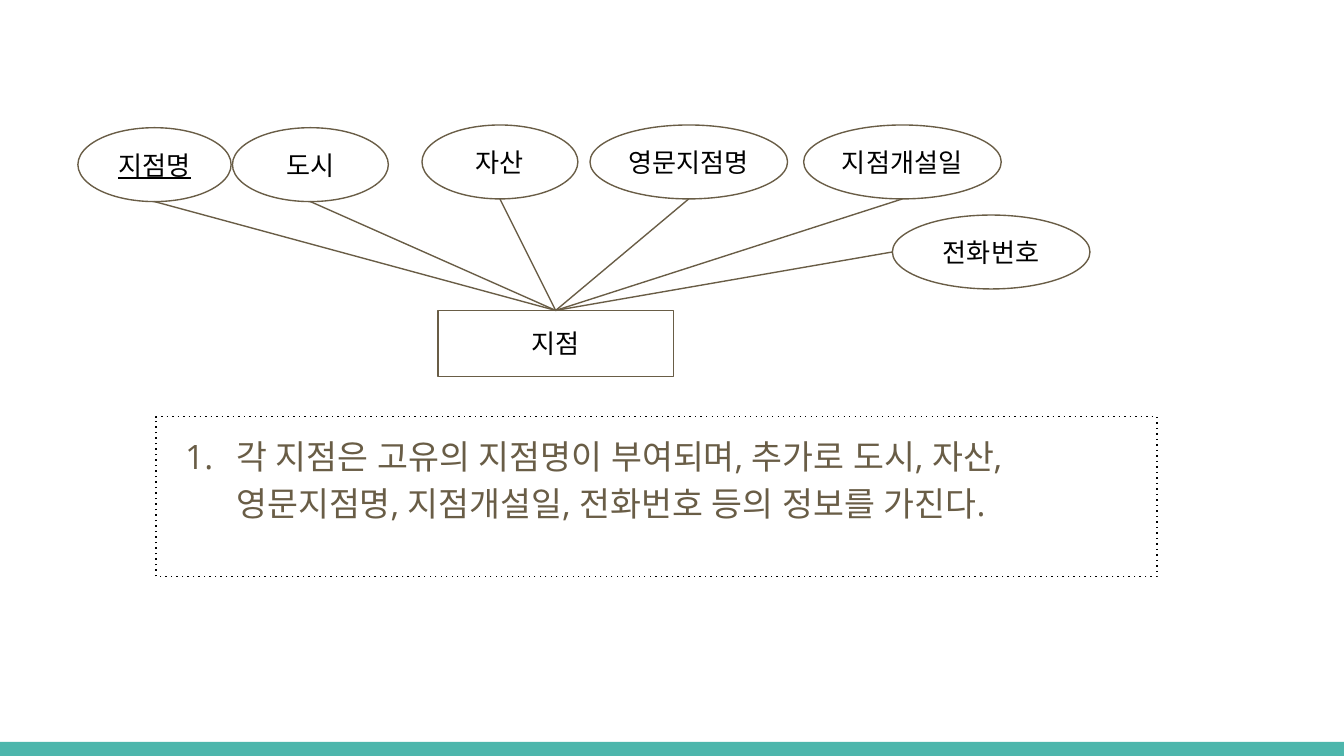
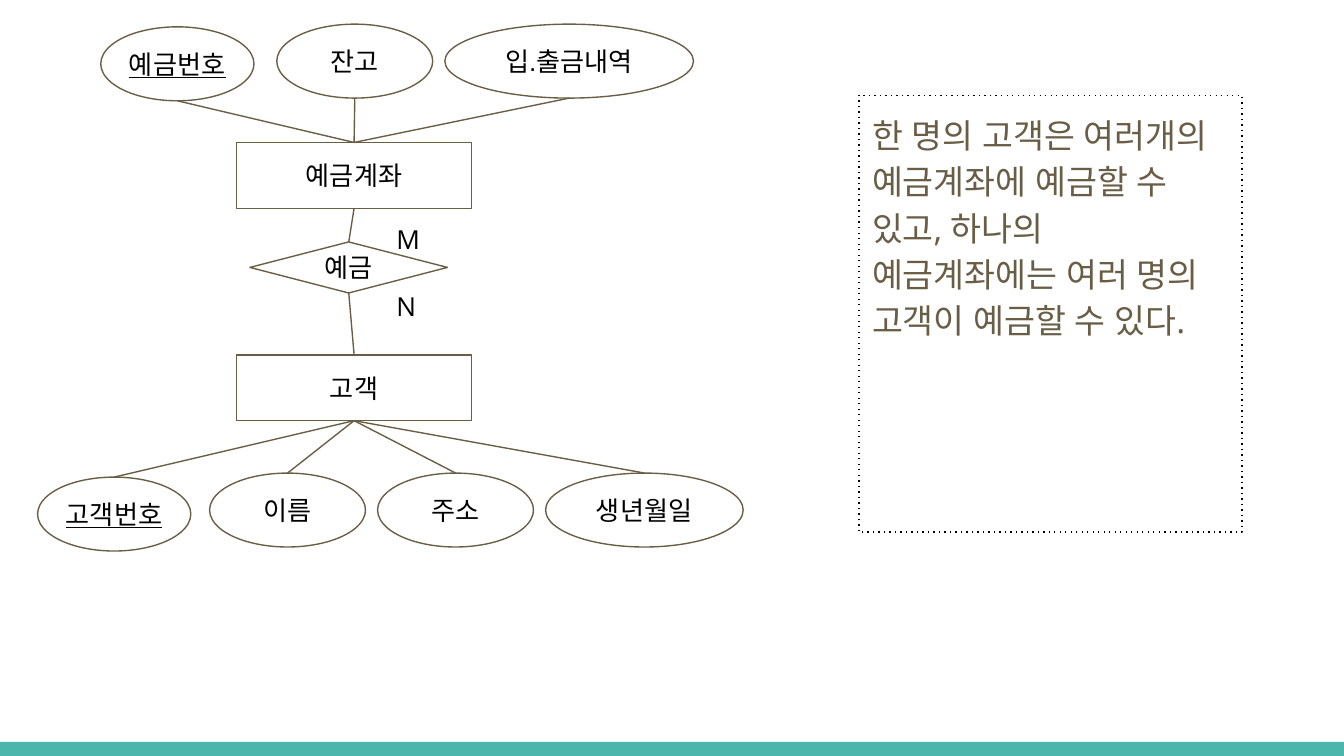
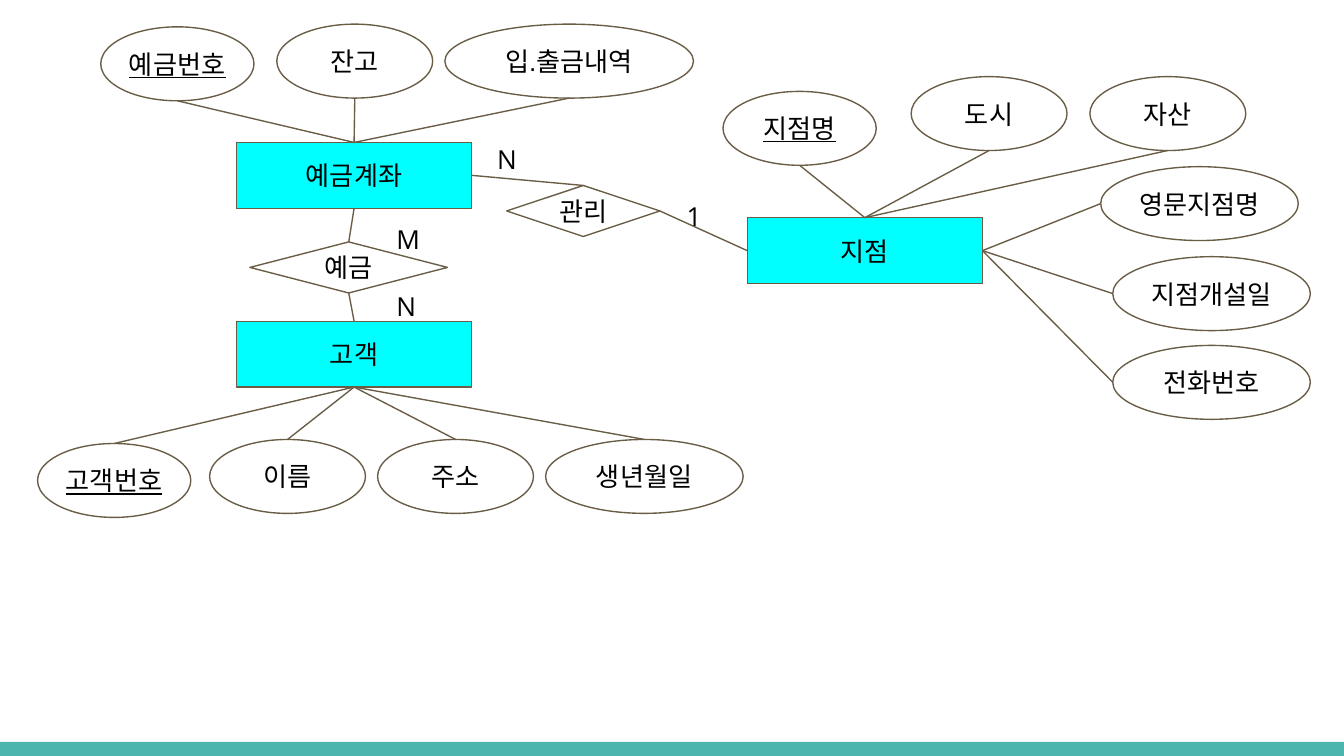
from lxml.etree import SubElement
from pptx import Presentation
from pptx.dml.color import RGBColor
from pptx.enum.shapes import MSO_CONNECTOR, MSO_SHAPE
from pptx.enum.text import MSO_ANCHOR, PP_ALIGN
from pptx.oxml.ns import qn
from pptx.util import Inches, Pt

TEAL = "4DB6AC"
BROWN = "695D46"
BLACK = "000000"
WHITE = "FFFFFF"
CYAN = "00FFFF"
KEYS = {"지점명", "예금번호", "고객번호"}


def paint(target, color):
    target.rgb = RGBColor.from_string(color)


def style(par, size, font, color):
    par.font.size = Pt(size)
    par.font.name = font
    paint(par.font.color, color)
    SubElement(par.font._element, qn("a:ea"), typeface=font)


def pad(frame, inset):
    frame.word_wrap = True
    frame.margin_left = frame.margin_right = Inches(inset)
    frame.margin_top = frame.margin_bottom = Inches(inset)


def shape(slide, kind, box, fill=None, line=None):
    item = slide.shapes.add_shape(kind, *map(Inches, box))
    item.shadow.inherit = False
    if fill:
        item.fill.solid()
        paint(item.fill.fore_color, fill)
    else:
        item.fill.background()
    if line:
        paint(item.line.color, line)
        item.line.width = Pt(0.75)
    else:
        item.line.fill.background()
    return item


def node(slide, kind, text, box, fill=WHITE):
    item = shape(slide, kind, box, fill, BROWN)
    frame = item.text_frame
    pad(frame, 0)
    frame.vertical_anchor = MSO_ANCHOR.MIDDLE
    par = frame.paragraphs[0]
    par.text = text
    par.alignment = PP_ALIGN.CENTER
    style(par, 14, "Arial", BLACK)
    if text in KEYS:
        par.font.underline = True
    return item


def entity(slide, text, left, top, fill=WHITE):
    return node(slide, MSO_SHAPE.RECTANGLE, text, (left, top, 1.75, 0.49), fill)


def bond(slide, text, left, top, width):
    return node(slide, MSO_SHAPE.DIAMOND, text, (left, top, width, 0.38))


def port(item, side):
    mid = item.left + item.width // 2
    row = item.top + item.height // 2
    return {
        "top": (mid, item.top),
        "bottom": (mid, item.top + item.height),
        "left": (item.left, row),
        "right": (item.left + item.width, row),
    }[side]


def link(slide, start, exit, end, entry):
    line = slide.shapes.add_connector(
        MSO_CONNECTOR.STRAIGHT, *port(start, exit), *port(end, entry))
    paint(line.line.color, BROWN)
    line.line.width = Pt(0.75)
    SubElement(line._element.spPr, qn("a:effectLst"))


def fan(slide, hub, entry, exit, traits):
    for text, left, top, width in traits:
        oval = node(slide, MSO_SHAPE.OVAL, text, (left, top, width, 0.55))
        link(slide, oval, exit, hub, entry)


def label(slide, text, left, top):
    box = slide.shapes.add_textbox(*map(Inches, (left, top, 0.32, 0.32)))
    pad(box.text_frame, 0.1)
    par = box.text_frame.paragraphs[0]
    par.text = text
    style(par, 14, "Open Sans", BLACK)


def note(slide, text, box):
    item = shape(slide, MSO_SHAPE.RECTANGLE, box, line=BLACK)
    SubElement(item._element.spPr.find(qn("a:ln")), qn("a:prstDash"), val="dot")
    frame = item.text_frame
    pad(frame, 0.1)
    frame.vertical_anchor = MSO_ANCHOR.TOP
    par = frame.paragraphs[0]
    par.text = text
    par.alignment = PP_ALIGN.LEFT
    par.line_spacing = 1.15
    return par


def number(par):
    props = par._p.get_or_add_pPr()
    props.set("marL", str(Inches(0.5)))
    props.set("indent", str(Inches(-0.38)))
    tint = SubElement(props, qn("a:buClr"))
    SubElement(tint, qn("a:srgbClr"), val=BROWN)
    SubElement(props, qn("a:buAutoNum"), type="arabicPeriod")


def savings(slide, top, fill=WHITE):
    account = entity(slide, "예금계좌", 1.76, 1.06, fill)
    fan(slide, account, "top", "bottom", [
        ("잔고", 2.06, 0.18, 1.16),
        ("예금번호", 0.75, 0.2, 1.14),
        ("입.출금내역", 3.31, 0.18, 1.85),
    ])
    client = entity(slide, "고객", 1.76, top, fill)
    row = top + 0.88
    fan(slide, client, "bottom", "top", [
        ("이름", 1.56, row, 1.16),
        ("고객번호", 0.28, row + 0.03, 1.14),
        ("주소", 2.81, row, 1.16),
        ("생년월일", 4.06, row, 1.47),
    ])
    deposit = bond(slide, "예금", 1.86, 1.8, 1.47)
    link(slide, client, "top", deposit, "bottom")
    label(slide, "N", 2.85, 2.06)
    link(slide, deposit, "top", account, "bottom")
    label(slide, "M", 2.85, 1.56)
    return account


def branch(slide):
    par = note(
        slide,
        "각 지점은 고유의 지점명이 부여되며, 추가로 도시, 자산, 영문지점명, "
        "지점개설일, 전화번호 등의 정보를 가진다.",
        (1.16, 3.1, 7.45, 1.19))
    number(par)
    style(par, 18, "Open Sans", BROWN)
    hub = entity(slide, "지점", 3.26, 2.31)
    fan(slide, hub, "top", "bottom", [
        ("도시", 1.73, 0.95, 1.16),
        ("지점명", 0.58, 0.95, 1.14),
        ("자산", 3.14, 0.93, 1.16),
        ("영문지점명", 4.39, 0.93, 1.47),
        ("지점개설일", 5.98, 0.93, 1.47),
    ])
    fan(slide, hub, "top", "left", [("전화번호", 6.64, 1.6, 1.47)])


def deposit(slide):
    par = note(
        slide,
        "한 명의 고객은 여러개의 예금계좌에 예금할 수 있고, 하나의 "
        "예금계좌에는 여러 명의 고객이 예금할 수 있다.",
        (6.39, 0.71, 2.85, 3.25))
    par.space_after = Pt(16)
    style(par, 18, "Open Sans", BROWN)
    savings(slide, 2.64)


def whole(slide):
    account = savings(slide, 2.39, CYAN)
    hub = entity(slide, "지점", 5.56, 1.62, CYAN)
    fan(slide, hub, "top", "bottom", [
        ("도시", 6.78, 0.57, 1.16),
        ("지점명", 5.38, 0.68, 1.14),
        ("자산", 8.11, 0.57, 1.16),
    ])
    fan(slide, hub, "right", "left", [
        ("영문지점명", 8.19, 1.24, 1.47),
        ("지점개설일", 8.28, 1.91, 1.47),
        ("전화번호", 8.28, 2.57, 1.47),
    ])
    manage = bond(slide, "관리", 3.77, 1.38, 1.14)
    link(slide, hub, "left", manage, "right")
    link(slide, manage, "top", account, "right")
    label(slide, "N", 3.6, 0.97)
    label(slide, "1", 5.01, 1.39)


def main():
    deck = Presentation()
    deck.slide_width = Inches(10)
    deck.slide_height = Inches(10) * 9 // 16
    for draw in (branch, deposit, whole):
        slide = deck.slides.add_slide(deck.slide_layouts[6])
        shape(slide, MSO_SHAPE.RECTANGLE, (0, 5.52, 10, 0.11), TEAL)
        draw(slide)
    deck.save("out.pptx")


if __name__ == "__main__":
    main()
